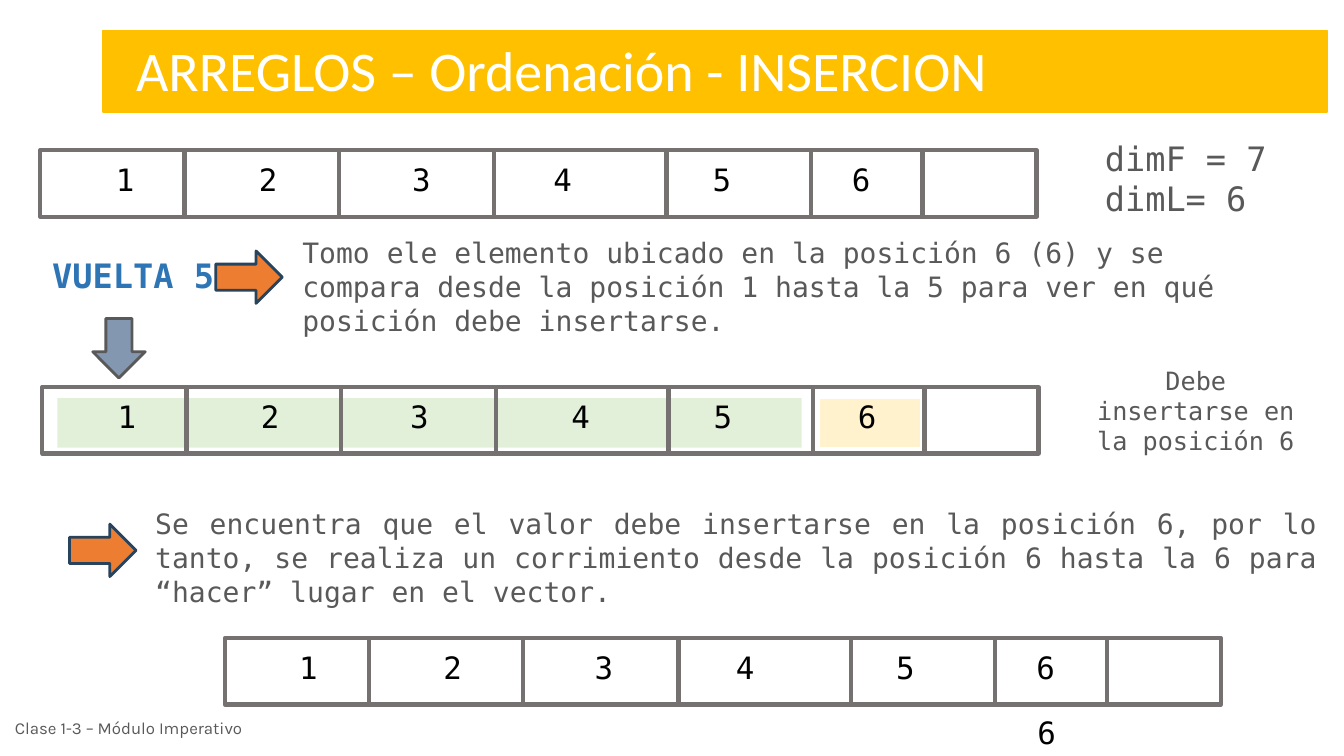
"""Build the slide on insertion sort, round five."""
from dataclasses import dataclass

from lxml.etree import SubElement
from pptx import Presentation
from pptx.dml.color import RGBColor
from pptx.enum.shapes import MSO_CONNECTOR, MSO_SHAPE
from pptx.enum.text import MSO_ANCHOR, MSO_AUTO_SIZE, PP_ALIGN
from pptx.oxml.ns import qn
from pptx.util import Inches, Pt


@dataclass(frozen=True)
class Theme:
    mono: str = "DejaVu Sans Mono"
    head: str = "Calibri"
    foot: str = "Karla"
    white: str = "FFFFFF"
    black: str = "000000"
    gray: str = "595959"
    blue: str = "2E75B6"
    gold: str = "FFC000"
    cream: str = "FFF2CC"
    green: str = "E2F0D9"
    rule: str = "767171"
    orange: str = "ED7D31"
    navy: str = "28445D"
    slate: str = "8497B0"
    title: int = 40
    large: int = 24
    digit: int = 22
    body: int = 20
    small: int = 18
    tiny: int = 12


T = Theme()
LEFT, MID, FULL = PP_ALIGN.LEFT, PP_ALIGN.CENTER, PP_ALIGN.JUSTIFY

TITLE = "ARREGLOS – Ordenación - INSERCION"
TITLE_BOX = (1.25, 0.3, 9.35, 0.77)
BANNER = (1.02, 0.3, 12.14, 0.81)
FOOTER = "Clase 1-3 – Módulo Imperativo"
FOOTER_BOX = (0.05, 6.98, 3.16, 0.48)

NOTES = [
    ("dimF = 7\ndimL= 6", (10.86, 1.32, 2.3, 0.91), T.large, LEFT),
    ("Tomo ele elemento ubicado en la posición 6 (6) y se compara desde "
     "la posición 1 hasta la 5 para ver en qué posición debe insertarse.",
     (2.9, 2.29, 10.02, 1.11), T.body, LEFT),
    ("Debe insertarse en la posición 6",
     (10.71, 3.57, 2.3, 1.01), T.small, MID),
    ("Se encuentra que el valor debe insertarse en la posición 6, por lo "
     "tanto, se realiza un corrimiento desde la posición 6 hasta la 6 para "
     "“hacer” lugar en el vector.",
     (1.44, 4.98, 11.72, 1.11), T.body, FULL),
]
ROUND = ("VUELTA 5", (0.42, 2.48, 2.3, 0.5))

MARKS = [
    ((8.14, 3.96, 0.98, 0.47), T.cream, T.cream, 0.75),
    ((0.57, 3.95, 7.38, 0.49), T.green, None, 0),
]
ARROWS = [
    ((2.21, 2.42, 0.52, 0.66), 270, T.orange, T.navy),
    ((0.76, 5.13, 0.52, 0.66), 270, T.orange, T.navy),
    ((0.92, 3.16, 0.52, 0.59), 0, T.slate, T.gray),
]

ROW_W, ROW_H = 9.88, 0.66
CUTS = [1.43, 2.96, 4.5, 6.21, 7.64, 8.75]
VALUES = ["1", "2", "3", "4", "5", "6"]
ROWS = [
    (0.4, 1.49, [0.84, 2.26, 3.78, 5.18, 6.76, 8.14]),
    (0.42, 3.84, [0.84, 2.26, 3.74, 5.34, 6.75, 8.18]),
    (2.23, 6.33, [0.83, 2.26, 3.76, 5.16, 6.75, 8.14]),
]
DIGIT_W, DIGIT_H, DIGIT_DY = 0.8, 0.47, 0.06
MOVED = ("6", 10.38, 7.03)


def rgb(code):
    return RGBColor.from_string(code)


def write(shape, text, size, color, font=T.mono, align=LEFT, bold=False,
          anchor=MSO_ANCHOR.TOP):
    frame = shape.text_frame
    frame.text = text
    frame.word_wrap = True
    frame.auto_size = MSO_AUTO_SIZE.NONE
    frame.vertical_anchor = anchor
    for para in frame.paragraphs:
        para.alignment = align
        for run in para.runs:
            run.font.name = font
            run.font.size = Pt(size)
            run.font.bold = bold
            run.font.color.rgb = rgb(color)


def label(slide, text, box, size, color, **style):
    shape = slide.shapes.add_textbox(*map(Inches, box))
    write(shape, text, size, color, **style)


def block(slide, kind, box, fill=None, line=None, width=1):
    shape = slide.shapes.add_shape(kind, *map(Inches, box))
    shape.shadow.inherit = False
    if fill:
        shape.fill.solid()
        shape.fill.fore_color.rgb = rgb(fill)
    else:
        shape.fill.background()
    if line:
        shape.line.color.rgb = rgb(line)
        shape.line.width = Pt(width)
    else:
        shape.line.fill.background()
    return shape


def cut(slide, x, top):
    ends = map(Inches, (x, top, x, top + ROW_H))
    line = slide.shapes.add_connector(MSO_CONNECTOR.STRAIGHT, *ends)
    line.line.color.rgb = rgb(T.rule)
    line.line.width = Pt(3)
    SubElement(line.element.spPr, qn("a:effectLst"))


def digit(slide, text, center, top):
    box = (center - DIGIT_W / 2, top, DIGIT_W, DIGIT_H)
    label(slide, text, box, T.digit, T.black, align=MID)


def array(slide, left, top, centers):
    block(slide, MSO_SHAPE.RECTANGLE, (left, top, ROW_W, ROW_H),
          line=T.rule, width=3)
    for x in CUTS:
        cut(slide, left + x, top)
    for text, center in zip(VALUES, centers):
        digit(slide, text, left + center, top + DIGIT_DY)


def heading(slide):
    banner = block(slide, MSO_SHAPE.RECTANGLE, BANNER, T.gold, T.gold)
    title = slide.shapes.title
    title.left, title.top, title.width, title.height = map(Inches, TITLE_BOX)
    write(title, TITLE, T.title, T.white, font=T.head)
    banner.element.addnext(title.element)


def main():
    deck = Presentation()
    deck.slide_width, deck.slide_height = Inches(13.33), Inches(7.5)
    slide = deck.slides.add_slide(deck.slide_layouts[5])
    heading(slide)
    for box, fill, line, width in MARKS:
        block(slide, MSO_SHAPE.RECTANGLE, box, fill, line, width)
    for left, top, centers in ROWS:
        array(slide, left, top, centers)
    digit(slide, *MOVED)
    for text, box, size, align in NOTES:
        label(slide, text, box, size, T.gray, align=align)
    label(slide, *ROUND, T.large, T.blue, bold=True)
    for box, turn, fill, line in ARROWS:
        arrow = block(slide, MSO_SHAPE.DOWN_ARROW, box, fill, line, 2)
        arrow.rotation = turn
    label(slide, FOOTER, FOOTER_BOX, T.tiny, T.gray, font=T.foot,
          anchor=MSO_ANCHOR.MIDDLE)
    deck.save("out.pptx")


if __name__ == "__main__":
    main()
